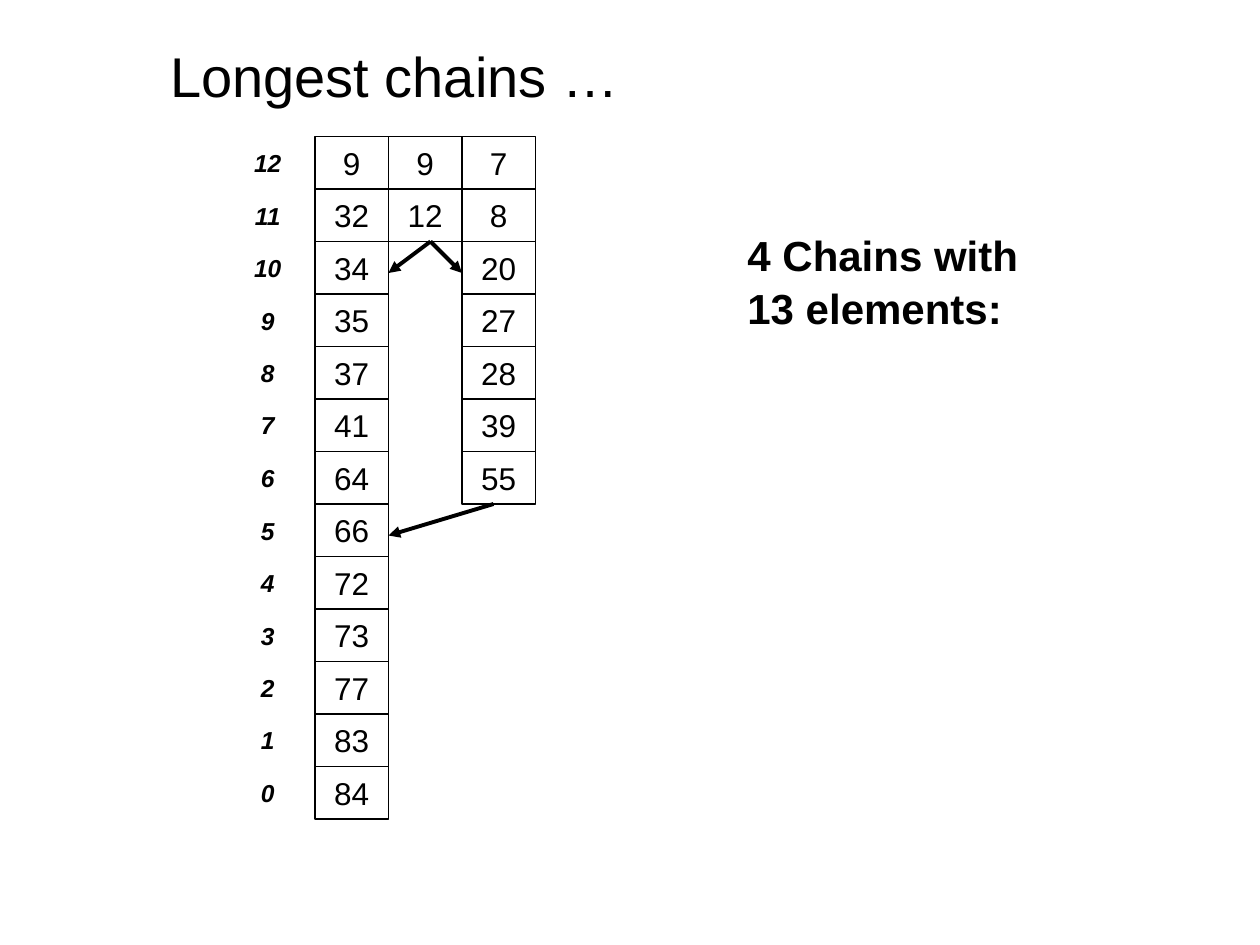
from pptx import Presentation
from pptx.dml.color import RGBColor
from pptx.enum.shapes import MSO_CONNECTOR, MSO_SHAPE
from pptx.enum.text import MSO_ANCHOR, MSO_AUTO_SIZE, PP_ALIGN
from pptx.oxml.ns import qn
from pptx.util import Inches, Pt
from lxml.etree import SubElement

hues = {"ink": "000000", "page": "FFFFFF"}
ink = RGBColor.from_string(hues["ink"])

deck = Presentation()
deck.slide_width, deck.slide_height = Inches(10), Inches(7.5)
slide = deck.slides.add_slide(deck.slide_layouts[5])
slide.background.fill.solid()
slide.background.fill.fore_color.rgb = RGBColor.from_string(hues["page"])

unit = deck.slide_width // 120
wide, high = 7 * unit, 5 * unit
left, top = 30 * unit, 13 * unit


def write(shape, text, size, bold=False, slant=False, cell=True):
    frame = shape.text_frame
    frame.auto_size = MSO_AUTO_SIZE.NONE
    frame.word_wrap = not cell
    frame.vertical_anchor = MSO_ANCHOR.MIDDLE if cell else MSO_ANCHOR.TOP
    para = frame.paragraphs[0]
    para.alignment = PP_ALIGN.CENTER if cell else PP_ALIGN.LEFT
    para.line_spacing = 1 if cell else 1.05
    run = para.add_run()
    run.text = text
    font = run.font
    font.name, font.size, font.bold, font.italic = "Arial", Pt(size), bold, slant
    font.color.rgb = ink


title = slide.shapes.title
title.left, title.top = 15 * unit, 3 * unit
title.width, title.height = 76 * unit, Inches(0.64)
write(title, "Longest chains …", 32, cell=False)

chains = [
    [9, 32, 34, 35, 37, 41, 64, 66, 72, 73, 77, 83, 84],
    [9, 12],
    [7, 8, 20, 27, 28, 39, 55],
]
for col, chain in enumerate(chains):
    for row, value in enumerate(chain):
        box = slide.shapes.add_shape(
            MSO_SHAPE.RECTANGLE, left + col * wide, top + row * high, wide, high)
        box.shadow.inherit = False
        box.fill.background()
        box.line.color.rgb = ink
        box.line.width = Pt(0.75)
        write(box, str(value), 18)

last = len(chains[0]) - 1
for row in range(last + 1):
    label = slide.shapes.add_textbox(left - 8 * unit, top + row * high, wide, high)
    write(label, str(last - row), 14, bold=True, slant=True)

arrows = [(1, 2, 1, 2), (1, 2, 2, 2), (2, 7, 1, 7)]
for col, row, side, goal in arrows:
    line = slide.shapes.add_connector(
        MSO_CONNECTOR.STRAIGHT,
        left + col * wide + 4 * unit if col == 1 else left + col * wide + 3 * unit,
        top + row * high,
        left + side * wide, top + goal * high + 3 * unit)
    line.line.color.rgb = ink
    line.line.width = Pt(2.25)
    SubElement(line.line._get_or_add_ln(), qn("a:tailEnd"), type="triangle")
    SubElement(line._element.spPr, qn("a:effectLst"))

note = slide.shapes.add_textbox(70 * unit, 21 * unit, 33 * unit, Inches(0.9))
write(note, "4 Chains with 13 elements:", 24, bold=True, cell=False)

deck.save("out.pptx")
